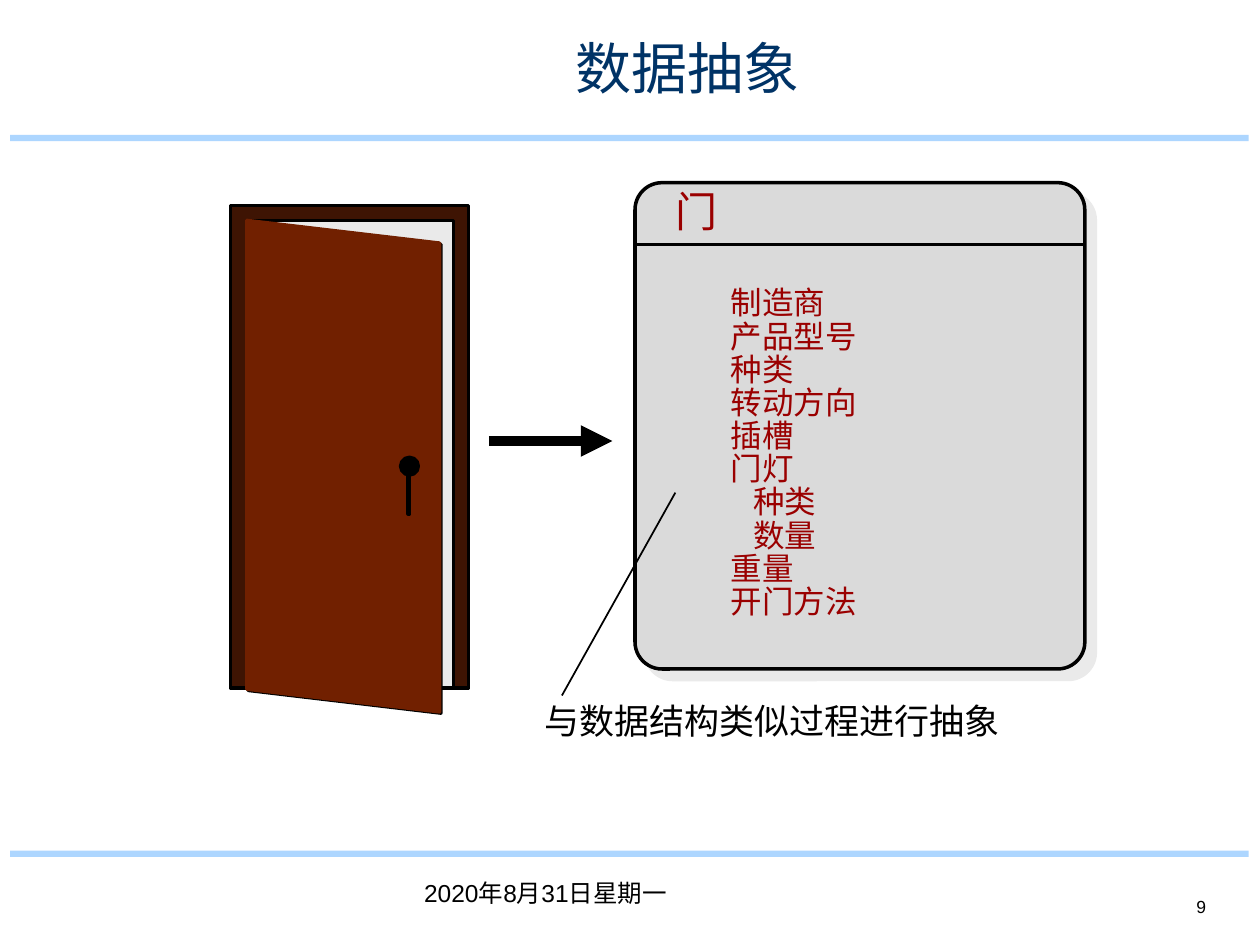
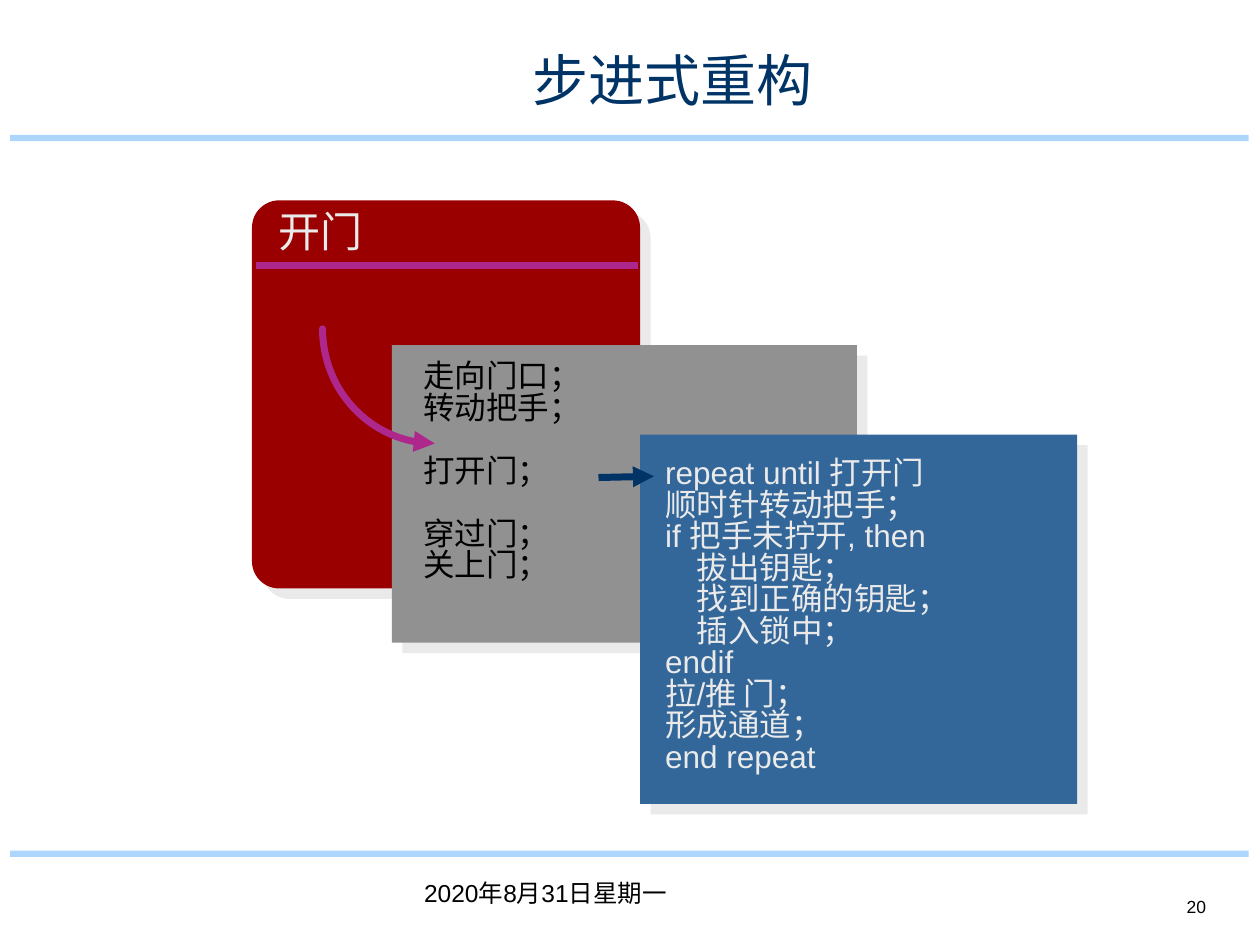
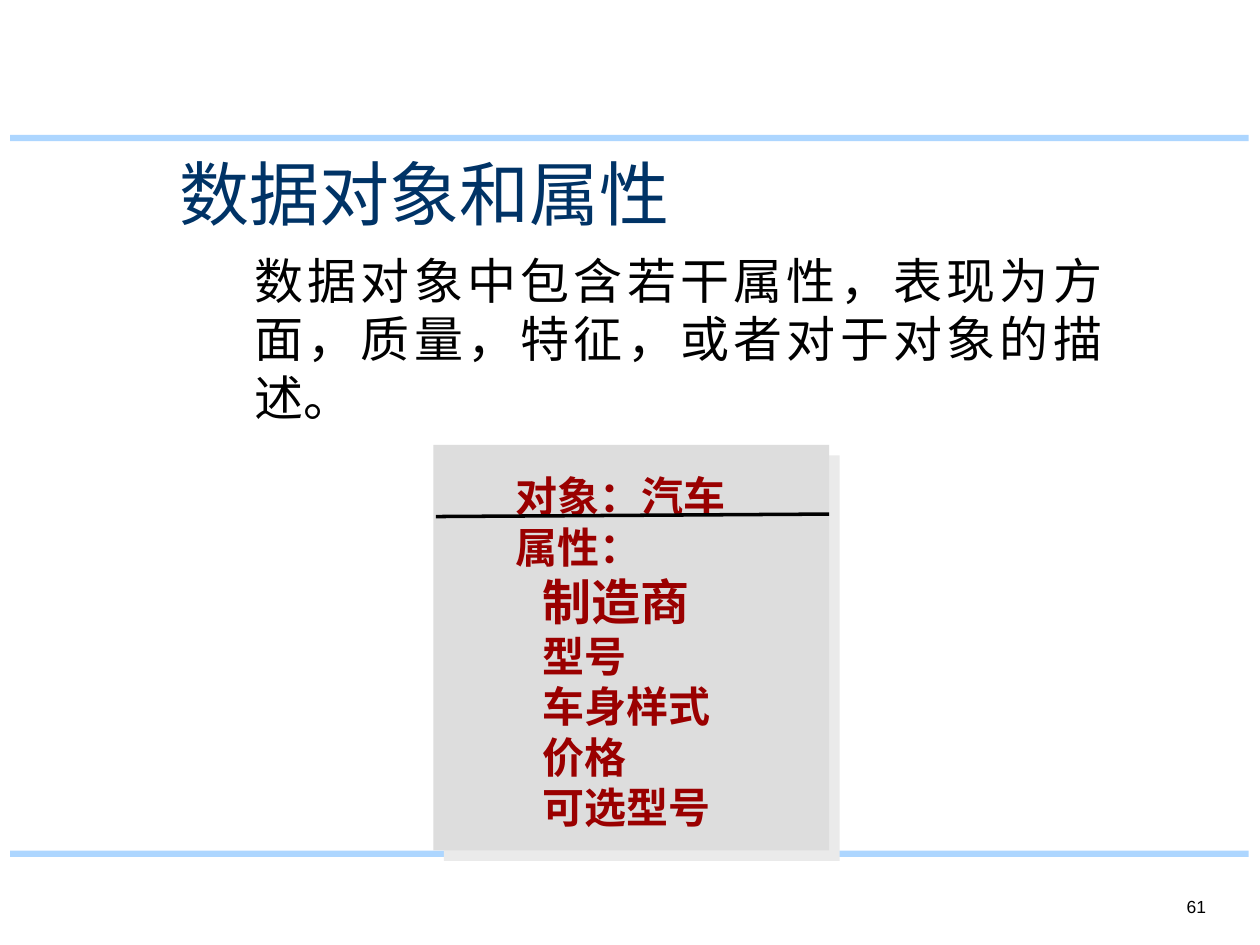
"""Builds three slides on abstraction, stepwise refinement and data objects."""
from dataclasses import dataclass
from math import cos, pi, sin

from lxml.etree import SubElement
from pptx import Presentation
from pptx.dml.color import RGBColor
from pptx.enum.shapes import MSO_CONNECTOR, MSO_SHAPE
from pptx.enum.text import MSO_ANCHOR, PP_ALIGN
from pptx.oxml.ns import qn
from pptx.util import Inches, Pt


@dataclass(frozen=True)
class Theme:
    """Colours, font and type sizes of the deck."""
    font: str = "Arial"
    ink: str = "000000"
    navy: str = "003366"
    band: str = "ADD6FF"
    red: str = "9A0000"
    pale: str = "EAEAEA"
    card: str = "DADADA"
    object_card: str = "DDDDDD"
    grey: str = "919191"
    blue: str = "336699"
    purple: str = "AD278D"
    frame: str = "3E1403"
    door: str = "712000"
    number_size: int = 10
    date_size: int = 14
    row_size: int = 18
    note_size: int = 20
    head_size: int = 24
    body_size: int = 28
    title_size: int = 32
    big_title_size: int = 40


class SlideWriter:
    """Holds the theme and the current page, and draws elements on it."""

    def __init__(self, deck, theme):
        """Start without a page."""
        self.deck = deck
        self.theme = theme
        self.page = None

    def start_page(self, number, date=None):
        """Add a blank page with bands, number and optional date."""
        theme = self.theme
        self.page = self.deck.slides.add_slide(self.deck.slide_layouts[6])
        for top in (1.07, 6.75):
            self.shape(MSO_SHAPE.RECTANGLE, 0.08, top, 9.83, 0.05, theme.band)
        self.text(number, 8.25, 6.83, 1.42, 0.5, theme.number_size, theme.ink,
                  align=PP_ALIGN.RIGHT, anchor=MSO_ANCHOR.BOTTOM)
        if date:
            self.text(date, 1.33, 6.92, 6, 0.5, theme.date_size, theme.ink, align=PP_ALIGN.CENTER)

    def text(self, words, left, top, width, height, size, color, align=PP_ALIGN.LEFT,
             anchor=MSO_ANCHOR.TOP, inset=(0.1, 0.05), bold=False):
        """Add a wrapping text box, one paragraph a line."""
        box = self.page.shapes.add_textbox(Inches(left), Inches(top), Inches(width), Inches(height))
        frame = box.text_frame
        frame.word_wrap = True
        frame.vertical_anchor = anchor
        frame.margin_left = frame.margin_right = Inches(inset[0])
        frame.margin_top = frame.margin_bottom = Inches(inset[1])
        frame.text = words
        for para in frame.paragraphs:
            para.alignment = align
            self.set_paragraph(para, hangingPunct="0")
            for span in para.runs:
                span.font.name = self.theme.font
                span.font.size = Pt(size)
                span.font.bold = bold
                span.font.color.rgb = RGBColor.from_string(color)
        return frame

    def set_paragraph(self, para, **settings):
        """Set paragraph attributes such as the left indent."""
        properties = para._p.get_or_add_pPr()
        for name, value in settings.items():
            properties.set(name, value)

    def title(self, words, left, top, width):
        """Add a page title above the upper band."""
        self.text(words, left, top, width, 0.6, self.theme.title_size, self.theme.navy,
                  align=PP_ALIGN.CENTER, inset=(0.07, 0.03))

    def label(self, words, left, top, size, color):
        """Add a single line of text in a box fitted to its length."""
        ems = sum(1 if ord(letter) > 255 else 0.6 for letter in words)
        self.text(words, left, top, ems * size / 72 + 0.22, size / 72 + 0.15, size, color)

    def rows(self, entries, left, top, step, color, indent):
        """Add labels on evenly spaced slots, given as (slot, level, words)."""
        for slot, level, words in entries:
            self.label(words, left + level * indent, top + slot * step, self.theme.row_size, color)

    def paint(self, shape, fill=None, line=None, weight=2, shadow=False):
        """Set fill, outline and shadow of a shape."""
        shape.shadow.inherit = False
        if fill:
            shape.fill.solid()
            shape.fill.fore_color.rgb = RGBColor.from_string(fill)
        else:
            shape.fill.background()
        if line:
            shape.line.color.rgb = RGBColor.from_string(line)
            shape.line.width = Pt(weight)
        else:
            shape.line.fill.background()
        if shadow:
            effects = shape.element.spPr.find(qn("a:effectLst"))
            outer = SubElement(effects, qn("a:outerShdw"), dist=str(Pt(8.5)),
                               dir=str(45 * 60000), algn="ctr", rotWithShape="0")
            SubElement(outer, qn("a:srgbClr"), val=self.theme.pale)
        return shape

    def shape(self, kind, left, top, width, height, fill=None, corner=None, **look):
        """Add a preset shape."""
        shape = self.page.shapes.add_shape(
            kind, Inches(left), Inches(top), Inches(width), Inches(height))
        if corner:
            shape.adjustments[0] = corner
        return self.paint(shape, fill, **look)

    def outline(self, points, close=True, **look):
        """Add a freeform through the given points."""
        corners = [(Inches(x), Inches(y)) for x, y in points]
        builder = self.page.shapes.build_freeform(*corners[0], scale=1.0)
        builder.add_line_segments(corners[1:], close=close)
        return self.paint(builder.convert_to_shape(), **look)

    def add_head(self, shape):
        """Put a triangle at the end of a line."""
        SubElement(shape.element.spPr.find(qn("a:ln")), qn("a:tailEnd"), type="triangle")

    def line(self, start, end, color, weight, head=False):
        """Add a straight connector."""
        connector = self.page.shapes.add_connector(
            MSO_CONNECTOR.STRAIGHT, *(Inches(value) for value in start + end))
        connector.line.color.rgb = RGBColor.from_string(color)
        connector.line.width = Pt(weight)
        SubElement(connector.element.spPr, qn("a:effectLst"))
        if head:
            self.add_head(connector)

    def curved_arrow(self, center, radii, color, weight):
        """Add a quarter-ellipse arrow from the left point to the bottom point."""
        steps = 24
        angles = [pi - pi / 2 * step / steps for step in range(steps + 1)]
        points = [(center[0] + radii[0] * cos(angle), center[1] + radii[1] * sin(angle))
                  for angle in angles]
        arrow = self.outline(points, close=False, line=color, weight=weight)
        arrow.element.spPr.find(qn("a:ln")).set("cap", "rnd")
        self.add_head(arrow)


def draw_door(writer):
    """Draw the open door with its frame and handle."""
    theme = writer.theme
    writer.shape(MSO_SHAPE.RECTANGLE, 1.83, 1.63, 1.89, 3.83, theme.frame, line=theme.ink)
    writer.shape(MSO_SHAPE.RECTANGLE, 1.96, 1.75, 1.64, 3.71, theme.pale, line=theme.ink)
    panel = [(1.96, 1.75), (3.49, 1.93), (3.49, 5.65), (1.96, 5.47)]
    writer.outline([(x + 0.01, y + 0.01) for x, y in panel], line=theme.ink)
    writer.outline(panel, fill=theme.door, line=theme.door)
    writer.shape(MSO_SHAPE.OVAL, 3.18, 3.63, 0.14, 0.14, theme.ink, line=theme.ink)
    writer.shape(MSO_SHAPE.RECTANGLE, 3.24, 3.75, 0.01, 0.33, theme.ink, line=theme.ink)


def data_abstraction(writer, date):
    """Slide with a door and the data that describes it."""
    theme = writer.theme
    writer.start_page("9", date)
    writer.title("数据抽象", 3.33, 0.24, 4.25)
    writer.shape(MSO_SHAPE.ROUNDED_RECTANGLE, 5.04, 1.45, 3.57, 3.86, theme.card,
                 corner=0.06, line=theme.ink, shadow=True)
    writer.line((5.04, 1.94), (8.6, 1.94), theme.ink, 2)
    writer.label("门", 5.26, 1.42, theme.head_size, theme.red)
    writer.line((5.36, 3.91), (4.46, 5.52), theme.ink, 1)
    writer.label("与数据结构类似过程进行抽象", 4.22, 5.5, theme.note_size, theme.ink)
    attributes = [(0, "制造商"), (0, "产品型号"), (0, "种类"), (0, "转动方向"), (0, "插槽"),
                  (0, "门灯"), (1, "种类"), (1, "数量"), (0, "重量"), (0, "开门方法")]
    entries = [(slot, level, words) for slot, (level, words) in enumerate(attributes)]
    writer.rows(entries, 5.7, 2.2, 2.37 / 9, theme.red, 0.18)
    draw_door(writer)
    writer.line((3.88, 3.5), (4.86, 3.5), theme.ink, 6, head=True)


def stepwise_refinement(writer, date):
    """Slide that refines opening a door in three steps."""
    theme = writer.theme
    writer.start_page("20", date)
    writer.title("步进式重构", 4.14, 0.33, 2.39)
    writer.shape(MSO_SHAPE.ROUNDED_RECTANGLE, 2, 1.59, 3.08, 3.08, theme.red,
                 corner=0.07, shadow=True)
    writer.line((2.03, 2.11), (5.06, 2.11), theme.purple, 4)
    writer.label("开门", 2.11, 1.58, theme.head_size, theme.pale)
    writer.shape(MSO_SHAPE.RECTANGLE, 3.11, 2.74, 3.69, 2.36, theme.grey, shadow=True)
    steps = [(0, 0, "走向门口；"), (1, 0, "转动把手；"), (3, 0, "打开门；"),
             (5, 0, "穿过门；"), (6, 0, "关上门；")]
    writer.rows(steps, 3.26, 2.78, 0.25, theme.ink, 0)
    writer.shape(MSO_SHAPE.RECTANGLE, 5.08, 3.45, 3.47, 2.93, theme.blue, shadow=True)
    code = [(0, "repeat until 打开门"), (0, "顺时针转动把手；"), (0, "if 把手未拧开, then"),
            (1, "拔出钥匙；"), (1, "找到正确的钥匙；"), (1, "插入锁中；"), (0, "endif"),
            (0, "拉/推 门；"), (0, "形成通道；"), (0, "end repeat")]
    entries = [(slot, level, words) for slot, (level, words) in enumerate(code)]
    writer.rows(entries, 5.18, 3.55, 0.25, theme.pale, 0.25)
    writer.line((4.75, 3.79), (5.19, 3.78), theme.navy, 4, head=True)
    writer.curved_arrow((3.45, 2.61), (0.89, 0.91), theme.purple, 4)


def data_object(writer):
    """Slide on a data object and its attributes."""
    theme = writer.theme
    writer.start_page("61")
    writer.text("数据对象和属性", 1.33, 1.17, 7.08, 0.72, theme.big_title_size, theme.navy,
                anchor=MSO_ANCHOR.MIDDLE)
    writer.text("数据对象中包含若干属性，表现为方面，质量，特征，或者对于对象的描述。",
                1.92, 2.17, 6.93, 1.03, theme.body_size, theme.ink,
                align=PP_ALIGN.JUSTIFY, anchor=MSO_ANCHOR.MIDDLE)
    writer.shape(MSO_SHAPE.RECTANGLE, 3.44, 3.53, 3.14, 3.22, theme.object_card, shadow=True)
    lines = ["对象：汽车", "属性：", "制造商", "型号", "车身样式", "价格", "可选型号"]
    frame = writer.text("\n".join(lines), 3.99, 3.49, 2.5, 3.16, theme.head_size, theme.red,
                        align=PP_ALIGN.JUSTIFY, anchor=MSO_ANCHOR.MIDDLE, bold=True)
    heading, _, *attributes = frame.paragraphs
    heading.line_spacing = 1.5
    for para in attributes:
        writer.set_paragraph(para, marL=str(Inches(0.22)), indent="0")
    attributes[0].runs[0].font.size = Pt(theme.body_size)
    writer.line((3.46, 4.1), (6.58, 4.08), theme.ink, 2)


def main():
    """Build and save the deck."""
    deck = Presentation()
    deck.slide_width, deck.slide_height = Inches(10), Inches(7.5)
    writer = SlideWriter(deck, Theme())
    date = "2020年8月31日星期一"
    data_abstraction(writer, date)
    stepwise_refinement(writer, date)
    data_object(writer)
    deck.save("out.pptx")


if __name__ == "__main__":
    main()
